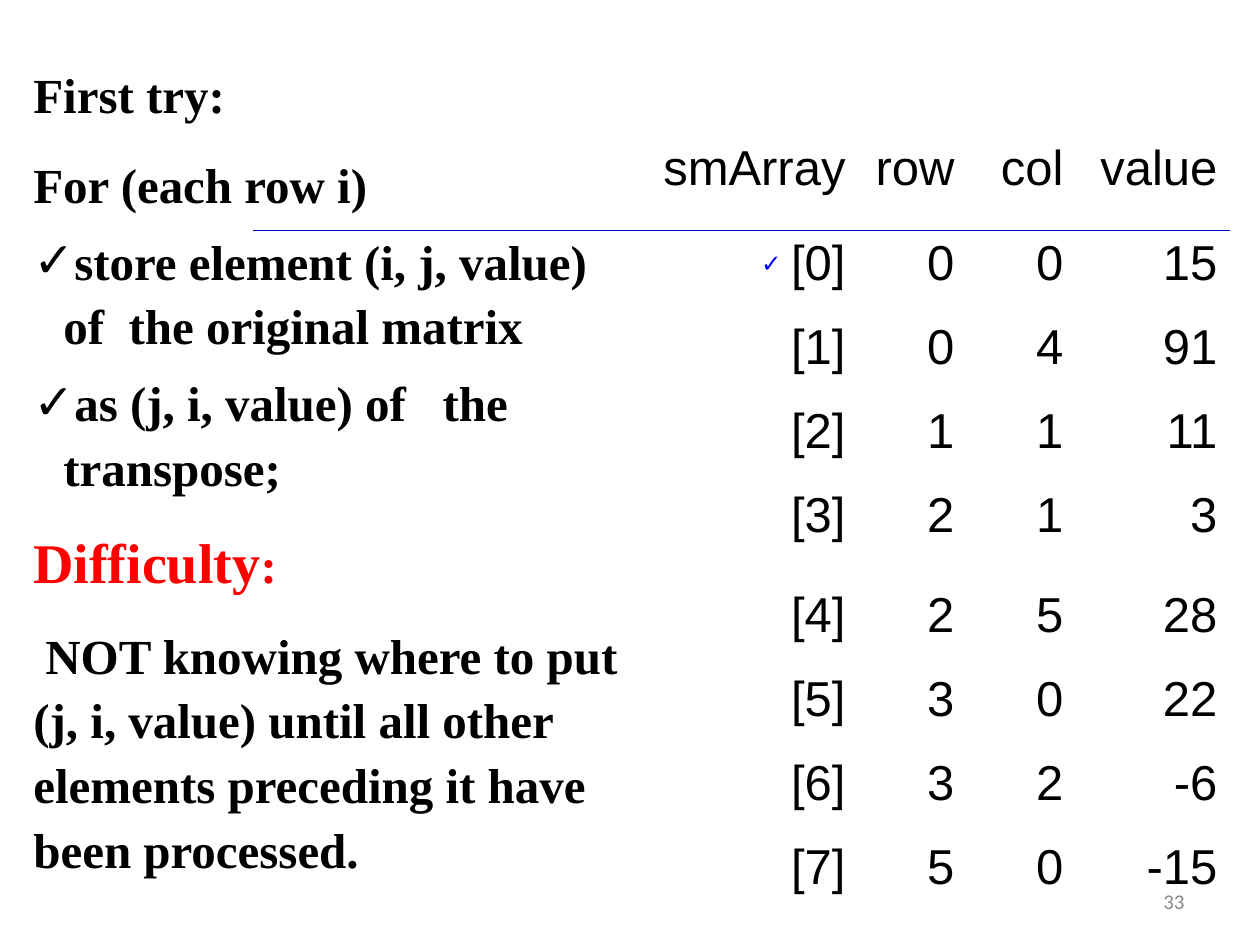
from lxml import etree
from pptx import Presentation
from pptx import util as u
from pptx.dml.color import RGBColor
from pptx.enum import text
from pptx.oxml import ns

PX = 914400 / 126  # EMU in one px
SERIF, SANS = "Times New Roman", "Arial"
TICK = 30  # hanging indent of a ticked line


def add_run(para, words, size, face, color="000000", bold=False):
    run = para.add_run()
    run.text = words
    run.font.size = u.Pt(size)
    run.font.name = face
    run.font.bold = bold
    run.font.color.rgb = RGBColor.from_string(color)


def add_tick(para, color, size=100):
    props = para._p.get_or_add_pPr()
    props.set("marL", str(int(TICK * PX)))
    props.set("indent", str(int(-TICK * PX)))
    tint = etree.SubElement(props, ns.qn("a:buClr"))
    etree.SubElement(tint, ns.qn("a:srgbClr"), val=color)
    etree.SubElement(props, ns.qn("a:buSzPct"), val=str(size * 1000))
    etree.SubElement(props, ns.qn("a:buFont"), typeface=SANS)
    etree.SubElement(props, ns.qn("a:buChar"), char="✓")


deck = Presentation()
deck.slide_width, deck.slide_height = u.Inches(10), u.Inches(7.5)
slide = deck.slides.add_slide(deck.slide_layouts[6])

# Page number
box = slide.shapes.add_textbox(*[int(n * PX) for n in (903, 876, 294, 50)])
frame = box.text_frame
frame.word_wrap = True
frame.vertical_anchor = text.MSO_ANCHOR.MIDDLE
para = frame.paragraphs[0]
para.alignment = text.PP_ALIGN.RIGHT
add_run(para, "33", 12, "Calibri", "898989")

# Algorithm: ticked or not, then runs of words, size, colour
steps = [
    (False, [("First try:", 28, "000000")]),
    (False, [("For (each row i)", 28, "000000")]),
    (True, [("store element (i, j, value) of  the original matrix", 28, "000000")]),
    (True, [("as (j, i, value) of   the transpose;", 28, "000000")]),
    (False, [("Difficulty", 32, "FF0000"), (":", 28, "FF0000")]),
    (False, [("NOT knowing where to put (j, i, value) until all other "
              "elements preceding it have been processed.", 28, "000000")]),
]
box = slide.shapes.add_textbox(*[int(n * PX) for n in (21, 53, 626, 832)])
frame = box.text_frame
frame.word_wrap = True
for i, (ticked, runs) in enumerate(steps):
    para = frame.add_paragraph() if i else frame.paragraphs[0]
    para.line_spacing = 1.1
    if i:
        para.space_before = u.Pt(7 if ticked else 14)
    if ticked:
        add_tick(para, "000000")
    for words, size, color in runs:
        add_run(para, words, size, SERIF, color, True)
# The last paragraph has a small first-line indent
para._p.get_or_add_pPr().set("indent", str(int(12 * PX)))

# Sparse matrix
terms = [(0, 0, 15), (0, 4, 91), (1, 1, 11), (2, 1, 3),
         (2, 5, 28), (3, 0, 22), (3, 2, -6), (5, 0, -15)]
rows = [("smArray", "row", "col", "value")]
rows += [(f"[{i}]", *term) for i, term in enumerate(terms)]
wide = [605, 109, 109, 154]
high = [95, 84, 84, 84, 100, 84, 84, 84, 84]
place = [int(n * PX) for n in (253, 135, sum(wide), sum(high))]
grid = slide.shapes.add_table(len(rows), len(wide), *place).table
grid.first_row = grid.horz_banding = False
# Table style without fills or grid lines
style = grid._tbl.tblPr.find(ns.qn("a:tableStyleId"))
style.text = "{2D5ABB26-0587-4C30-8999-92F81FD0307C}"
for col, n in zip(grid.columns, wide):
    col.width = int(n * PX)
for r, (row, n) in enumerate(zip(rows, high)):
    grid.rows[r].height = int(n * PX)
    for c, value in enumerate(row):
        cell = grid.cell(r, c)
        cell.fill.background()
        para = cell.text_frame.paragraphs[0]
        para.alignment = text.PP_ALIGN.RIGHT
        if (r, c) == (1, 0):
            add_tick(para, "0000FF", 50)
        add_run(para, str(value), 28, SANS)
        if r == 0:  # rule under the header
            edge = etree.Element(ns.qn("a:lnB"), w=str(u.Pt(0.45)))
            fill = etree.SubElement(edge, ns.qn("a:solidFill"))
            etree.SubElement(fill, ns.qn("a:srgbClr"), val="0000CC")
            cell._tc.get_or_add_tcPr().insert(0, edge)

deck.save("out.pptx")
